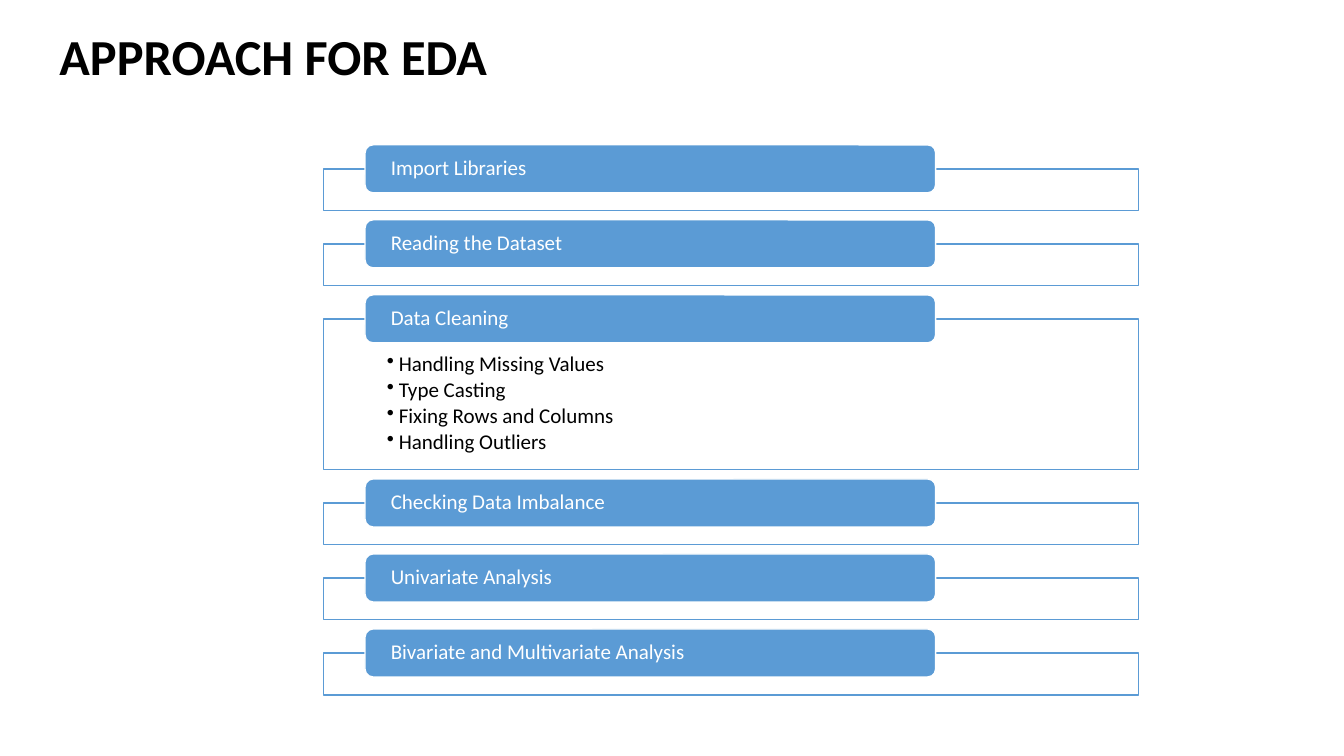
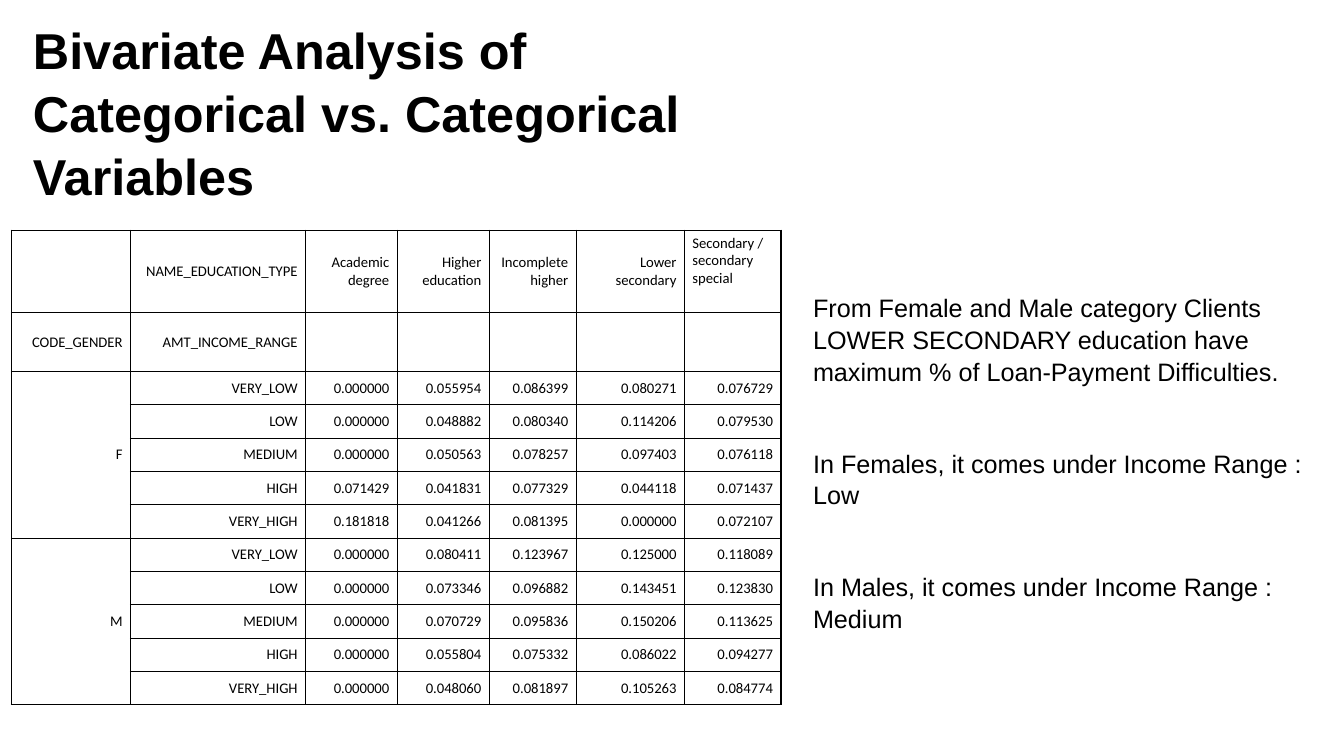
"""Build two slides: the steps of an EDA approach and a table of categorical variables."""
import pptx
import pptx.dml.color
import pptx.enum.shapes
import pptx.enum.text
import pptx.oxml.ns
import pptx.util
from lxml import etree

Cm, Pt = pptx.util.Cm, pptx.util.Pt
Kind = pptx.enum.shapes.MSO_SHAPE
Align, Anchor = pptx.enum.text.PP_ALIGN, pptx.enum.text.MSO_ANCHOR
rgb = pptx.dml.color.RGBColor.from_string
qn = pptx.oxml.ns.qn
BLACK, WHITE, BLUE = "000000", "FFFFFF", "5B9BD5"


def write(frame, lines, size, font, hue=BLACK, bold=False, align=Align.LEFT, lead=1.0, after=0):
    """Fill a text frame with evenly styled paragraphs."""
    frame.word_wrap = True
    for i, line in enumerate(lines):
        par = frame.paragraphs[0] if i == 0 else frame.add_paragraph()
        par.text = line
        par.alignment, par.line_spacing, par.space_after = align, lead, Pt(after)
        par.font.size, par.font.name, par.font.bold = Pt(size), font, bold
        par.font.color.rgb = rgb(hue)


def draw(slide, kind, box, fill, edge):
    """Add a flat shape with a one-point outline."""
    shape = slide.shapes.add_shape(kind, *map(Cm, box))
    shape.shadow.inherit = False
    shape.fill.solid()
    shape.fill.fore_color.rgb = rgb(fill)
    shape.line.color.rgb = rgb(edge)
    shape.line.width = Pt(1)
    return shape


deck = pptx.Presentation()
deck.slide_width, deck.slide_height = Cm(33.87), Cm(19.05)

titles = [
    ("APPROACH FOR EDA", "Calibri", (1.25, 0.79, 14.5, 1.5)),
    ("Bivariate Analysis of Categorical vs. Categorical Variables", "Arial", (0.58, 0.36, 18.03, 4.95)),
]
slides = []
for title, font, box in titles:
    slide = deck.slides.add_slide(deck.slide_layouts[6])
    frame = slide.shapes.add_textbox(*map(Cm, box)).text_frame
    frame.vertical_anchor = Anchor.BOTTOM
    write(frame, [title], 36, font, bold=True, lead=1.04)
    slides.append(slide)
flow, study = slides

steps = [
    ("Import Libraries", []),
    ("Reading the Dataset", []),
    ("Data Cleaning", ["Handling Missing Values", "Type Casting", "Fixing Rows and Columns", "Handling Outliers"]),
    ("Checking Data Imbalance", []),
    ("Univariate Analysis", []),
    ("Bivariate and Multivariate Analysis", []),
]
top = 4.26
for name, points in steps:
    high = 3.8 if points else 1.05
    panel = draw(flow, Kind.RECTANGLE, (8.15, top, 20.55, high), WHITE, BLUE)
    if points:
        frame = panel.text_frame
        frame.vertical_anchor = Anchor.TOP
        frame.margin_left = frame.margin_right = Cm(1.6)
        frame.margin_top, frame.margin_bottom = Cm(0.87), Cm(0.3)
        write(frame, points, 15, "Calibri", lead=0.9, after=2.25)
        for par in frame.paragraphs:
            prop = par._p.get_or_add_pPr()
            prop.set("marL", str(Cm(0.3)))
            prop.set("indent", str(-Cm(0.3)))
            etree.SubElement(prop, qn("a:buChar"), char="•")
    tab = draw(flow, Kind.ROUNDED_RECTANGLE, (9.2, top - 0.61, 14.38, 1.21), BLUE, WHITE)
    frame = tab.text_frame
    frame.vertical_anchor = Anchor.MIDDLE
    frame.margin_left = frame.margin_right = Cm(0.59)
    frame.margin_top = frame.margin_bottom = 0
    write(frame, [name], 15, "Calibri", WHITE, lead=0.9)
    top += high + 0.84

rows = [
    ["", "NAME_EDUCATION_TYPE", "Academic degree", "Higher education", "Incomplete higher",
     "Lower secondary", "Secondary / secondary special"],
    ["CODE_GENDER", "AMT_INCOME_RANGE", "", "", "", "", ""],
]
levels = ["VERY_LOW", "LOW", "MEDIUM", "HIGH", "VERY_HIGH"]
rates = {
    "F": [
        (0.000000, 0.055954, 0.086399, 0.080271, 0.076729),
        (0.000000, 0.048882, 0.080340, 0.114206, 0.079530),
        (0.000000, 0.050563, 0.078257, 0.097403, 0.076118),
        (0.071429, 0.041831, 0.077329, 0.044118, 0.071437),
        (0.181818, 0.041266, 0.081395, 0.000000, 0.072107),
    ],
    "M": [
        (0.000000, 0.080411, 0.123967, 0.125000, 0.118089),
        (0.000000, 0.073346, 0.096882, 0.143451, 0.123830),
        (0.000000, 0.070729, 0.095836, 0.150206, 0.113625),
        (0.000000, 0.055804, 0.075332, 0.086022, 0.094277),
        (0.000000, 0.048060, 0.081897, 0.105263, 0.084774),
    ],
}
for sex, group in rates.items():
    for level, values in zip(levels, group):
        rows.append([sex if level == levels[0] else "", level] + [f"{value:.6f}" for value in values])

widths = [3.0, 4.41, 2.31, 2.32, 2.19, 2.73, 2.43]
heights = [2.08, 1.48] + [0.84] * 10
grid = study.shapes.add_table(
    len(rows), len(widths), Cm(0.29), Cm(5.8), Cm(sum(widths)), Cm(sum(heights))).table
grid.first_row = grid.horz_banding = False
for col, width in zip(grid.columns, widths):
    col.width = Cm(width)
for row, height in zip(grid.rows, heights):
    row.height = Cm(height)
for r, row in enumerate(rows):
    for c, text in enumerate(row):
        cell = grid.cell(r, c)
        last = r == 0 and c == len(widths) - 1
        cell.vertical_anchor = Anchor.TOP if last else Anchor.MIDDLE
        cell.margin_left = cell.margin_right = Cm(0.2)
        cell.margin_top = cell.margin_bottom = Cm(0.1)
        write(cell.text_frame, [text], 10.5, "Calibri", align=Align.LEFT if last else Align.RIGHT)
        prop = cell._tc.get_or_add_tcPr()
        for side in "LRTB":
            line = etree.SubElement(prop, qn("a:ln" + side), w=str(Pt(1)))
            etree.SubElement(etree.SubElement(line, qn("a:solidFill")), qn("a:srgbClr"), val=BLACK)
        cell.fill.background()
for start in (2, 7):
    grid.cell(start, 0).merge(grid.cell(start + 4, 0))

notes = [
    "From Female and Male category Clients LOWER SECONDARY education have maximum % of Loan-Payment Difficulties.",
    "In Females, it comes under Income Range : Low",
    "In Males, it comes under Income Range : Medium",
]
frame = study.shapes.add_textbox(Cm(20.24), Cm(7.21), Cm(13.28), Cm(8.71)).text_frame
write(frame, notes, 18, "Arial", lead=1.05, after=43)

deck.save("out.pptx")
